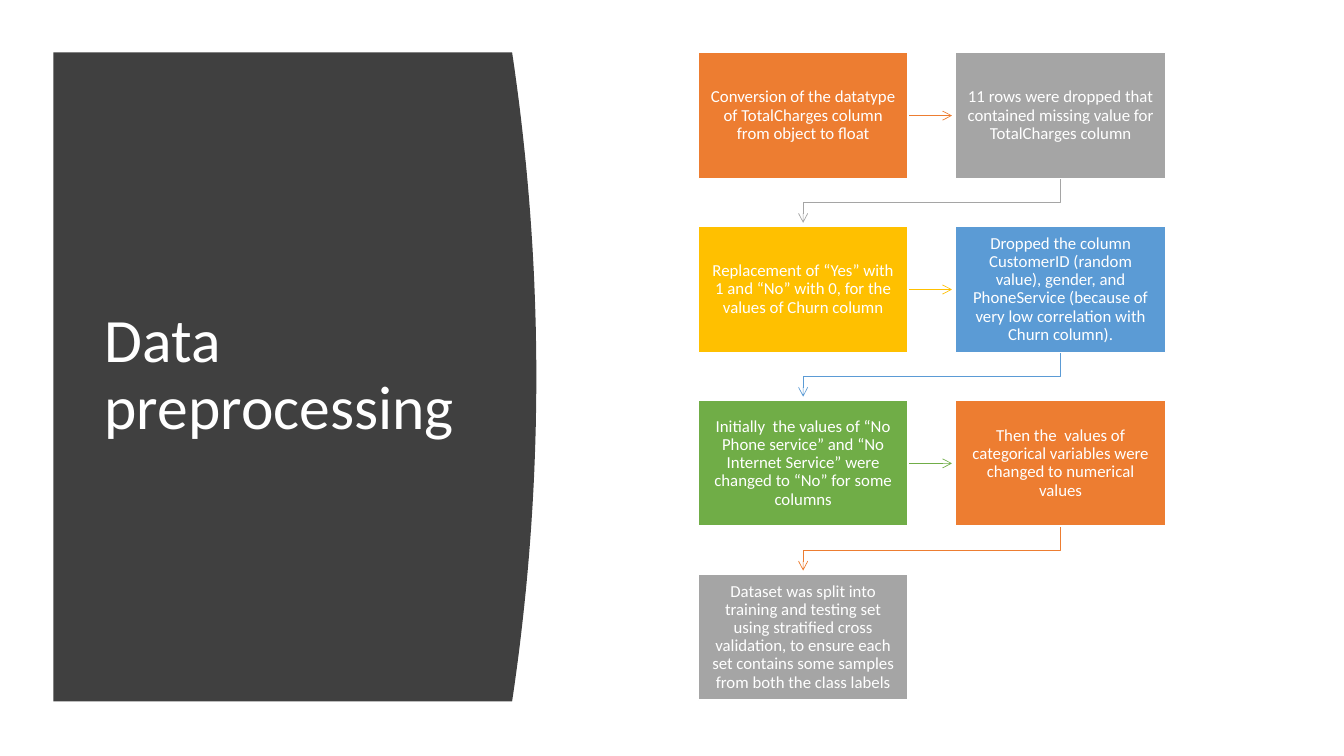
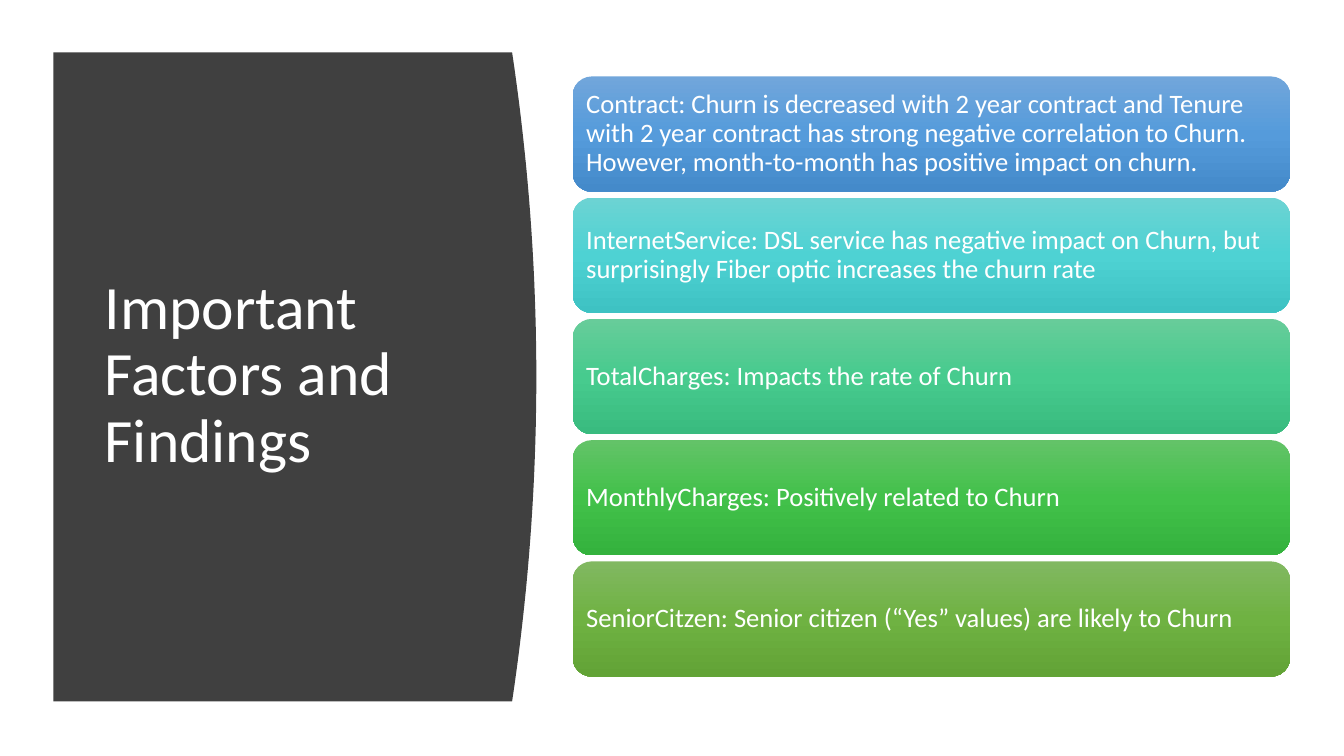
from dataclasses import dataclass
from lxml.etree import SubElement
from pptx import Presentation
from pptx.dml.color import RGBColor
from pptx.enum.shapes import MSO_CONNECTOR, MSO_SHAPE
from pptx.enum.text import MSO_ANCHOR, PP_ALIGN
from pptx.oxml.ns import qn
from pptx.shapes.autoshape import Shape
from pptx.slide import Slide
from pptx.util import Pt

FONT = "Calibri"
WHITE, DARK = "FFFFFF", "404040"
ORANGE, GREY, GOLD = "ED7D31", "A5A5A5", "FFC000"
BLUE, GREEN = "5B9BD5", "70AD47"


@dataclass(frozen=True)
class Step:
    text: str
    fill: str


@dataclass(frozen=True)
class Finding:
    text: str
    stops: tuple[str, str, str]


STEPS = (
    Step("Conversion of the datatype of TotalCharges column from object to float", ORANGE),
    Step("11 rows were dropped that contained missing value for TotalCharges column", GREY),
    Step("Replacement of “Yes” with 1 and “No” with 0, for the values of Churn column", GOLD),
    Step("Dropped the column CustomerID (random value), gender, and PhoneService "
         "(because of very low correlation with Churn column).", BLUE),
    Step("Initially  the values of “No Phone service” and “No Internet Service” "
         "were changed to “No” for some columns", GREEN),
    Step("Then the  values of categorical variables were changed to numerical values", ORANGE),
    Step("Dataset was split into training and testing set using stratified cross validation, "
         "to ensure each set contains some samples from both the class labels", GREY),
)
FINDINGS = (
    Finding("Contract: Churn is decreased with 2 year contract and Tenure with 2 year contract "
            "has strong negative correlation to Churn. However, month-to-month has positive "
            "impact on churn.", ("71A6DB", "559BDB", "448ACA")),
    Finding("InternetService: DSL service has negative impact on Churn, but surprisingly "
            "Fiber optic increases the churn rate", ("6CD3D3", "4ED2D3", "3EC2C3")),
    Finding("TotalCharges: Impacts the rate of Churn", ("67CC9A", "47CB8E", "39BB7F")),
    Finding("MonthlyCharges: Positively related to Churn", ("63C368", "42C14A", "34B23D")),
    Finding("SeniorCitzen: Senior citizen (“Yes” values) are likely to Churn",
            ("81B861", "6FB242", "62A336")),
)


def hue(code: str) -> RGBColor:
    return RGBColor.from_string(code)


def paint(shape: Shape, code: str) -> None:
    shape.fill.solid()
    shape.fill.fore_color.rgb = hue(code)


def shade(shape: Shape, codes: tuple[str, ...]) -> None:
    """Fill from top to bottom with evenly spaced stops."""
    shape.fill.gradient()
    shape.fill.gradient_angle = 270
    stops = shape.element.spPr.find(qn("a:gradFill")).find(qn("a:gsLst"))
    stops.clear()
    for i, code in enumerate(codes):
        stop = SubElement(stops, qn("a:gs"), pos=str(i * 100000 // (len(codes) - 1)))
        SubElement(stop, qn("a:srgbClr"), val=code)


def write(shape: Shape, text: str, size: float, side: float, top: float,
          align: PP_ALIGN = PP_ALIGN.LEFT) -> None:
    frame = shape.text_frame
    frame.word_wrap = True
    frame.vertical_anchor = MSO_ANCHOR.MIDDLE
    frame.margin_left = frame.margin_right = Pt(side)
    frame.margin_top = frame.margin_bottom = Pt(top)
    frame.text = text
    para = frame.paragraphs[0]
    para.alignment = align
    para.line_spacing = 0.9
    for run in para.runs:
        run.font.name = FONT
        run.font.size = Pt(size)
        run.font.color.rgb = hue(WHITE)


def trace(slide: Slide, points: list[tuple[float, float]], close: bool) -> Shape:
    (x, y), *rest = points
    pen = slide.shapes.build_freeform(Pt(x), Pt(y))
    pen.add_line_segments([(Pt(a), Pt(b)) for a, b in rest], close=close)
    shape = pen.convert_to_shape()
    shape.shadow.inherit = False
    return shape


def arrow(slide: Slide, points: list[tuple[float, float]], code: str) -> None:
    """Draw a straight connector, or a bent line through more than two points."""
    if len(points) == 2:
        (x, y), (end, low) = points
        link = slide.shapes.add_connector(MSO_CONNECTOR.STRAIGHT, Pt(x), Pt(y), Pt(end), Pt(low))
    else:
        link = trace(slide, points, False)
        link.fill.background()
    link.line.color.rgb = hue(code)
    link.line.width = Pt(0.5)
    props = link.element.spPr
    SubElement(props.find(qn("a:ln")), qn("a:tailEnd"), type="arrow")
    if props.find(qn("a:effectLst")) is None:
        SubElement(props, qn("a:effectLst"))


def panel(slide: Slide, title: str) -> None:
    """Dark title panel with a bowed right edge."""
    left, top, low, edge, bow = 38.2, 37.4, 501.1, 365.8, 17.3
    count = 40
    curve = []
    for i in range(count + 1):
        part = i / count
        curve.append((edge + bow * 4 * part * (1 - part), top + (low - top) * part))
    shape = trace(slide, [(left, top), *curve, (left, low)], True)
    paint(shape, DARK)
    shape.line.fill.background()
    box = slide.shapes.add_textbox(Pt(67.7), Pt(79.9), Pt(269.3), Pt(377.3))
    write(box, title, 44, 7.2, 3.6)


def flow(slide: Slide) -> None:
    """Two-column chain of steps, joined in reading order."""
    left, top, wide, high = 498.8, 37.7, 149.8, 89.8
    across, down, gap = 183.9, 124.2, 2.7
    for i, step in enumerate(STEPS):
        row, col = divmod(i, 2)
        x, y = left + col * across, top + row * down
        mid = x + wide / 2
        if i + 1 < len(STEPS):
            if col == 0:
                level = y + high / 2
                points = [(x + wide, level), (x + across - gap, level)]
            else:
                turn = y + high + 17.3
                points = [(mid, y + high), (mid, turn), (mid - across, turn),
                          (mid - across, y + down - gap)]
            arrow(slide, points, step.fill)
        box = slide.shapes.add_shape(MSO_SHAPE.RECTANGLE, Pt(x), Pt(y), Pt(wide), Pt(high))
        box.shadow.inherit = False
        paint(box, step.fill)
        box.line.color.rgb = hue(WHITE)
        box.line.width = Pt(1)
        write(box, step.text, 12, 7.3, 7.7, PP_ALIGN.CENTER)


def stack(slide: Slide) -> None:
    """Column of rounded bars."""
    left, top, wide, high, pitch = 409, 54.6, 512.6, 82.3, 86.6
    for i, item in enumerate(FINDINGS):
        bar = slide.shapes.add_shape(MSO_SHAPE.ROUNDED_RECTANGLE, Pt(left),
                                     Pt(top + i * pitch), Pt(wide), Pt(high))
        bar.shadow.inherit = False
        shade(bar, item.stops)
        bar.line.fill.background()
        write(bar, item.text, 19, 5.7, 5.7)


deck = Presentation()
deck.slide_width, deck.slide_height = Pt(960), Pt(540)
for title, draw in (("Data preprocessing", flow), ("Important Factors and Findings", stack)):
    page = deck.slides.add_slide(deck.slide_layouts[6])
    panel(page, title)
    draw(page)
deck.save("out.pptx")
